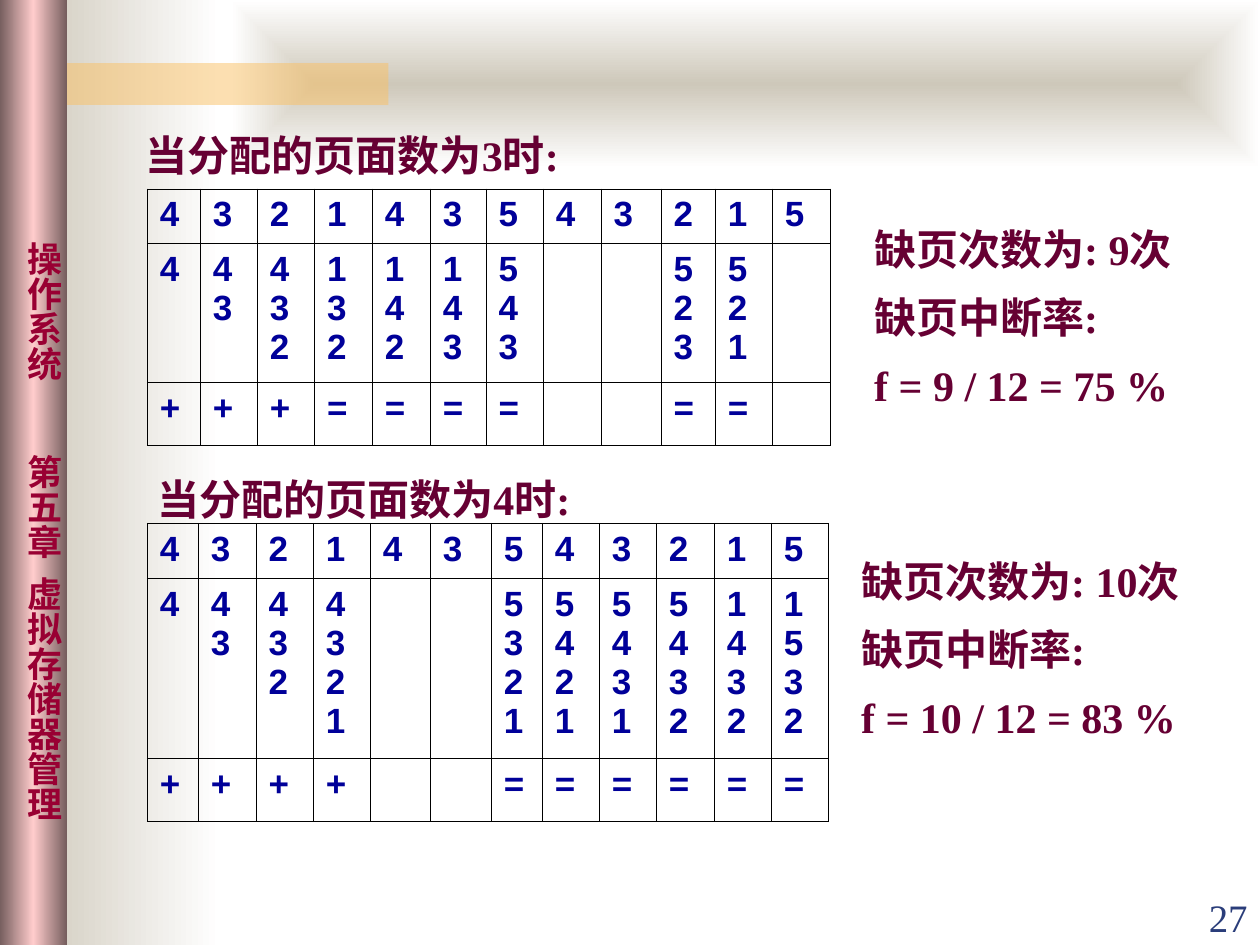
from lxml.etree import SubElement
from pptx import Presentation
from pptx.dml.color import RGBColor
from pptx.enum.shapes import MSO_SHAPE
from pptx.enum.text import MSO_ANCHOR, PP_ALIGN
from pptx.oxml.ns import qn
from pptx.util import Pt

COLORS = {
    "stone": "CEC8BA", "white": "FFFFFF", "amber": "FAC164",
    "mauve": "765E5E", "pink": "FFCCCC", "crimson": "990033",
    "plum": "660033", "navy": "000099", "slate": "2A3D7A", "black": "000000",
}
LATIN, SANS, CHINESE = "Times New Roman", "Arial", "Noto Sans CJK SC"

FORMATS = {
    "text": {"size": 24, "bold": True, "name": LATIN, "color": "plum"},
    "cell": {"size": 20, "bold": True, "name": SANS, "color": "navy"},
    "sidebar": {"size": 20, "bold": True, "name": CHINESE, "color": "crimson"},
    "number": {"size": 22.2, "bold": False, "name": LATIN, "color": "slate"},
}

# left, top, width, height, gradient colours, runs outward from the centre
BACKDROPS = [
    (12, 0, 114, 540, ("stone", "white"), False),
    (132, 0, 588, 96, ("stone", "white"), True),
]
AMBER_BAR = (24, 36, 198, 24)
SIDEBAR = (0, 0, 38.2, 540)
SIDEBAR_TEXT = "操作系统\t第五章\t虚拟存储器管理"
SIDEBAR_START = 138
SIDEBAR_TABS = (122, 191.5)

REQUESTS = "432143543215"
# frames: one string per request, top frame first
CASES = [
    {
        "heading": ("当分配的页面数为3时:", (76.3, 60.5, 306, 46)),
        "results": (["缺页次数为: 9次", "缺页中断率:", "f = 9 / 12 = 75 %"],
                    (492.5, 113.8, 196, 123.8)),
        "corner": (84.2, 108),
        "widths": [30.3, 32.6, 32.6, 33.1, 33.1, 32, 32.6, 33.1, 34.3, 30.9, 32.6, 33.1],
        "heights": [31, 79.4, 36],
        "frames": ["4", "43", "432", "132", "142", "143", "543", "", "", "523", "521", ""],
        "marks": ["+", "+", "+", "=", "=", "=", "=", "", "", "=", "=", ""],
    },
    {
        "heading": ("当分配的页面数为4时:", (82.8, 257, 306, 46)),
        "results": (["缺页次数为: 10次", "缺页中断率:", "f = 10 / 12 = 83 %"],
                    (485, 303.8, 208, 123.8)),
        "corner": (84.2, 299),
        "widths": [29.1, 33.1, 32.6, 32.6, 34.3, 34.9, 29.1, 32.6, 32.6, 33.1, 32.6, 32.6],
        "heights": [31.3, 103, 36],
        "frames": ["4", "43", "432", "4321", "", "", "5321", "5421", "5431", "5432",
                   "1432", "1532"],
        "marks": ["+", "+", "+", "+", "", "", "=", "=", "=", "=", "=", "="],
    },
]
PAGE_NUMBER = ("27", (648, 504.7, 72, 36))


def points(values):
    return [Pt(value) for value in values]


def rgb(name):
    return RGBColor.from_string(COLORS[name])


def apply_font(font, style):
    values = {**FORMATS[style], "size": Pt(FORMATS[style]["size"])}
    color = values.pop("color")
    for name, value in values.items():
        setattr(font, name, value)
    font.color.rgb = rgb(color)


def write(frame, lines, style, **paragraph_format):
    for index, line in enumerate(lines):
        para = frame.paragraphs[0] if index == 0 else frame.add_paragraph()
        for name, value in paragraph_format.items():
            setattr(para, name, value)
        span = para.add_run()
        span.text = line
        apply_font(span.font, style)
        SubElement(span.font._element, qn("a:ea"), typeface=CHINESE)


def add_text(page, lines, place, style, wrap=True, anchor=MSO_ANCHOR.MIDDLE, **paragraph_format):
    frame = page.shapes.add_textbox(*points(place)).text_frame
    frame.word_wrap = wrap
    frame.vertical_anchor = anchor
    write(frame, lines, style, **paragraph_format)


def add_panel(page, place, color):
    panel = page.shapes.add_shape(MSO_SHAPE.RECTANGLE, *points(place))
    panel.shadow.inherit = False
    panel.line.fill.background()
    panel.fill.solid()
    panel.fill.fore_color.rgb = rgb(color)
    return panel


def set_gradient(panel, colors, from_center=False):
    solid = panel._element.spPr.find(qn("a:solidFill"))
    gradient = solid.makeelement(qn("a:gradFill"), {"rotWithShape": "1"})
    stops = SubElement(gradient, qn("a:gsLst"))
    for index, color in enumerate(colors):
        position = 100000 * index // (len(colors) - 1)
        stop = SubElement(stops, qn("a:gs"), pos=str(position))
        SubElement(stop, qn("a:srgbClr"), val=COLORS[color])
    if from_center:
        shade = SubElement(gradient, qn("a:path"), path="rect")
        SubElement(shade, qn("a:fillToRect"), dict.fromkeys("ltrb", "50000"))
    else:
        SubElement(gradient, qn("a:lin"), ang="0", scaled="1")
    solid.getparent().replace(solid, gradient)


def add_sidebar(page):
    panel = add_panel(page, SIDEBAR, "mauve")
    set_gradient(panel, ("mauve", "pink", "mauve"))
    frame = panel.text_frame
    margins = {"margin_left": 1, "margin_right": 1,
               "margin_top": SIDEBAR_START, "margin_bottom": 0}
    for name, value in margins.items():
        setattr(frame, name, Pt(value))
    frame.vertical_anchor = MSO_ANCHOR.TOP
    frame._txBody.bodyPr.set("vert", "eaVert")
    para = frame.paragraphs[0]
    tabs = SubElement(para._p.get_or_add_pPr(), qn("a:tabLst"))
    for position in SIDEBAR_TABS:
        SubElement(tabs, qn("a:tab"), pos=str(Pt(position)), algn="l")
    write(frame, [SIDEBAR_TEXT], "sidebar", alignment=PP_ALIGN.LEFT)


def set_borders(cell):
    properties = cell._tc.get_or_add_tcPr()
    for side in ("lnL", "lnR", "lnT", "lnB"):
        line = SubElement(properties, qn(f"a:{side}"), w=str(Pt(0.45)))
        fill = SubElement(line, qn("a:solidFill"))
        SubElement(fill, qn("a:srgbClr"), val=COLORS["black"])


def add_page_table(page, case):
    rows = [REQUESTS, case["frames"], case["marks"]]
    size = (sum(case["widths"]), sum(case["heights"]))
    table = page.shapes.add_table(len(rows), len(REQUESTS),
                                  *points(case["corner"] + size)).table
    table.first_row = table.horz_banding = False
    for column, width in zip(table.columns, case["widths"]):
        column.width = Pt(width)
    for row, height, texts in zip(table.rows, case["heights"], rows):
        row.height = Pt(height)
        for cell, digits in zip(row.cells, texts):
            set_borders(cell)
            cell.fill.background()
            write(cell.text_frame, digits, "cell")


def main():
    deck = Presentation()
    deck.slide_width, deck.slide_height = Pt(720), Pt(540)
    page = deck.slides.add_slide(deck.slide_layouts[6])

    for *place, colors, from_center in BACKDROPS:
        set_gradient(add_panel(page, place, colors[0]), colors, from_center)
    bar = add_panel(page, AMBER_BAR, "amber")
    bar_color = bar._element.spPr.find(qn("a:solidFill"))[0]
    SubElement(bar_color, qn("a:alpha"), val="50000")
    add_sidebar(page)

    for case in CASES:
        add_page_table(page, case)
        heading, place = case["heading"]
        add_text(page, [heading], place, "text", line_spacing=1.35)
        results, place = case["results"]
        add_text(page, results, place, "text", wrap=False, line_spacing=1.35)

    number, place = PAGE_NUMBER
    add_text(page, [number], place, "number", anchor=MSO_ANCHOR.BOTTOM,
             alignment=PP_ALIGN.RIGHT)
    deck.save("out.pptx")


if __name__ == "__main__":
    main()
